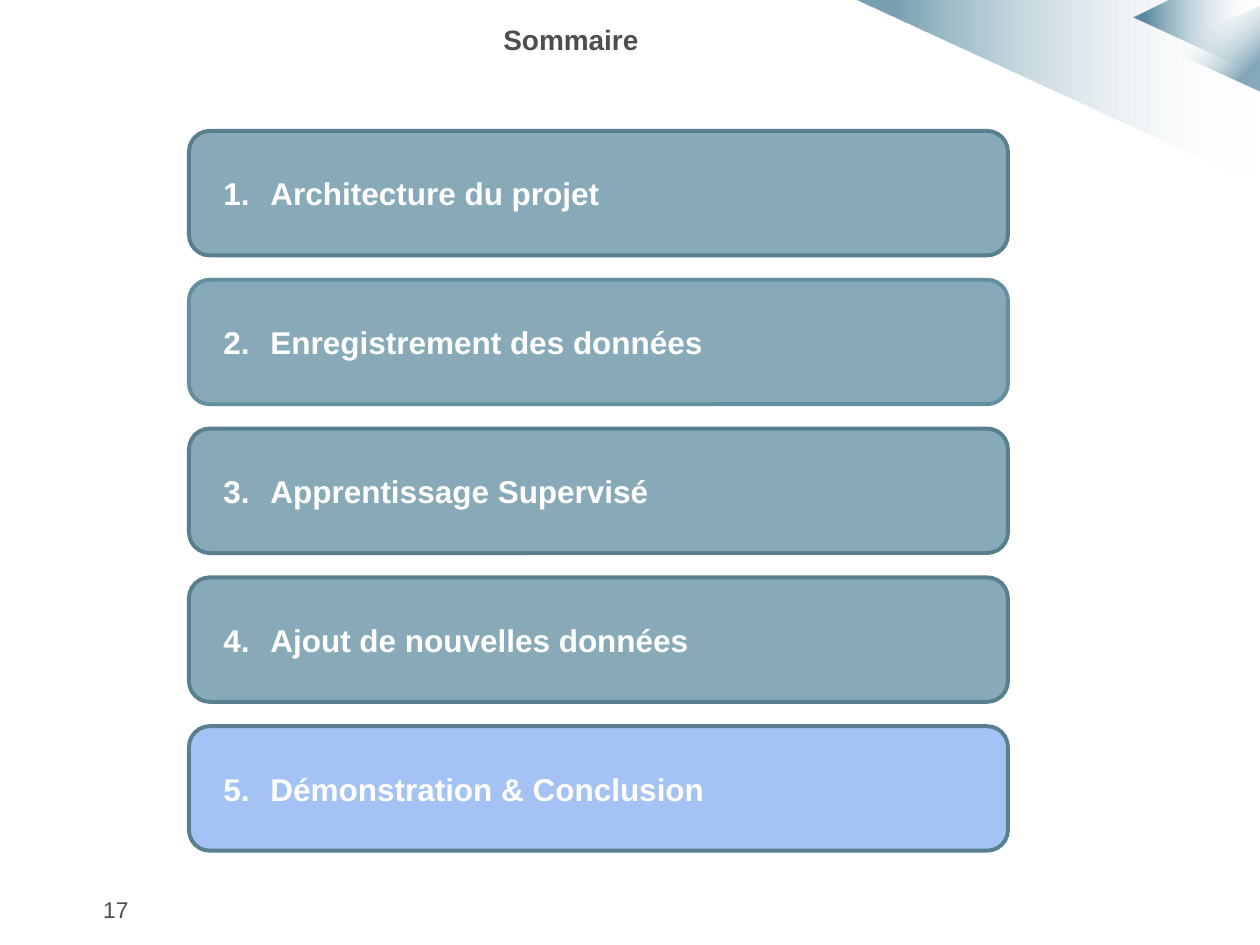
from lxml import etree
from pptx import Presentation
from pptx.dml.color import RGBColor
from pptx.enum import shapes, text
from pptx.oxml import ns, parse_xml
from pptx.util import Cm, Pt

WHITE = RGBColor(0xFF, 0xFF, 0xFF)
NAVY = RGBColor(0x00, 0x4D, 0x6F)
TEAL = RGBColor(0x63, 0x8F, 0xA1)
DARK_TEAL = RGBColor(0x58, 0x7F, 0x8E)
LIGHT_BLUE = RGBColor(0xA4, 0xC2, 0xF4)
GREY = RGBColor(0x4F, 0x4D, 0x50)


def fade(shape, stops, angle):
    shape.shadow.inherit = False
    shape.line.fill.background()
    shape.fill.background()
    stop_xml = "".join(
        f'<a:gs pos="{pos * 1000}"><a:srgbClr val="{color}">'
        f'<a:alpha val="{alpha * 1000}"/></a:srgbClr></a:gs>'
        for pos, color, alpha in stops
    )
    gradient = parse_xml(
        f'<a:gradFill {ns.nsdecls("a")} rotWithShape="1"><a:gsLst>{stop_xml}</a:gsLst>'
        f'<a:lin ang="{angle * 60000}" scaled="0"/></a:gradFill>'
    )
    properties = shape.element.spPr
    properties.replace(properties.find(ns.qn("a:noFill")), gradient)


def write(paragraph, words, size, color, bold):
    run = paragraph.add_run()
    run.text = words
    run.font.name = "Arial"
    run.font.size = Pt(size)
    run.font.bold = bold
    run.font.color.rgb = color


deck = Presentation()
deck.slide_width, deck.slide_height = Cm(25.4), Cm(19.05)
slide = deck.slides.add_slide(deck.slide_layouts[6])

corner_bands = [
    ([(17.25, 0), (25.4, 0), (25.4, 3.73)], 53),
    ([(22.86, 0.36), (23.6, 0), (25.4, 0), (25.4, 1.52)], 63),
]
for points, alpha in corner_bands:
    outline = [(Cm(x), Cm(y)) for x, y in points]
    builder = slide.shapes.build_freeform(*outline[0])
    builder.add_line_segments(outline[1:])
    fade(builder.convert_to_shape(),
         [(0, NAVY, alpha), (9, NAVY, alpha), (99, WHITE, 0), (100, WHITE, 0)], 0)

corner_tip = slide.shapes.add_shape(
    shapes.MSO_SHAPE.ISOSCELES_TRIANGLE, Cm(23.6), Cm(0.03), Cm(1.73), Cm(1.9))
corner_tip.rotation = 270
fade(corner_tip, [(0, WHITE, 0), (27, WHITE, 0), (81, NAVY, 48), (100, NAVY, 48)], 135)

chapters = [
    ("Architecture du projet", TEAL, DARK_TEAL),
    ("Enregistrement des données", TEAL, TEAL),
    ("Apprentissage Supervisé", TEAL, DARK_TEAL),
    ("Ajout de nouvelles données", TEAL, DARK_TEAL),
    ("Démonstration & Conclusion", LIGHT_BLUE, DARK_TEAL),
]
for index, (chapter, fill, border) in enumerate(chapters):
    panel = slide.shapes.add_shape(
        shapes.MSO_SHAPE.ROUNDED_RECTANGLE,
        Cm(3.81), Cm(2.64 + 3 * index), Cm(16.51), Cm(2.51))
    panel.shadow.inherit = False
    panel.fill.solid()
    panel.fill.fore_color.rgb = fill
    if fill == TEAL:
        tint = panel.element.spPr.find(".//" + ns.qn("a:srgbClr"))
        etree.SubElement(tint, ns.qn("a:alpha"), val="76000")
    panel.line.color.rgb = border
    panel.line.width = Pt(2.25)
    frame = panel.text_frame
    frame.vertical_anchor = text.MSO_ANCHOR.MIDDLE
    frame.margin_left = frame.margin_right = Cm(0.25)
    frame.margin_top = frame.margin_bottom = Cm(0.25)
    entry = frame.paragraphs[0]
    entry.alignment = text.PP_ALIGN.LEFT
    write(entry, chapter, 18, WHITE, True)
    numbering = entry._p.get_or_add_pPr()
    numbering.set("marL", str(Cm(1.27)))
    numbering.set("indent", str(Cm(-0.95)))
    bullet_color = etree.SubElement(numbering, ns.qn("a:buClr"))
    etree.SubElement(bullet_color, ns.qn("a:srgbClr"), val=str(WHITE))
    etree.SubElement(numbering, ns.qn("a:buFont"), typeface="Arial")
    etree.SubElement(numbering, ns.qn("a:buAutoNum"),
                     type="arabicPeriod", startAt=str(index + 1))

labels = [
    ("17", (1.32, 17.81, 1.52, 1.45), 0.25, text.PP_ALIGN.RIGHT, 13, False, 0),
    ("Sommaire", (5.11, 0.33, 12.8, 1.17), 0.13, text.PP_ALIGN.CENTER, 16, True, 3.2),
]
for words, place, margin, alignment, size, bold, space in labels:
    frame = slide.shapes.add_textbox(*map(Cm, place)).text_frame
    frame.word_wrap = True
    frame.margin_left = frame.margin_right = Cm(0.25)
    frame.margin_top = frame.margin_bottom = Cm(margin)
    line = frame.paragraphs[0]
    line.alignment = alignment
    line.space_before = Pt(space)
    write(line, words, size, GREY, bold)

deck.save("out.pptx")
